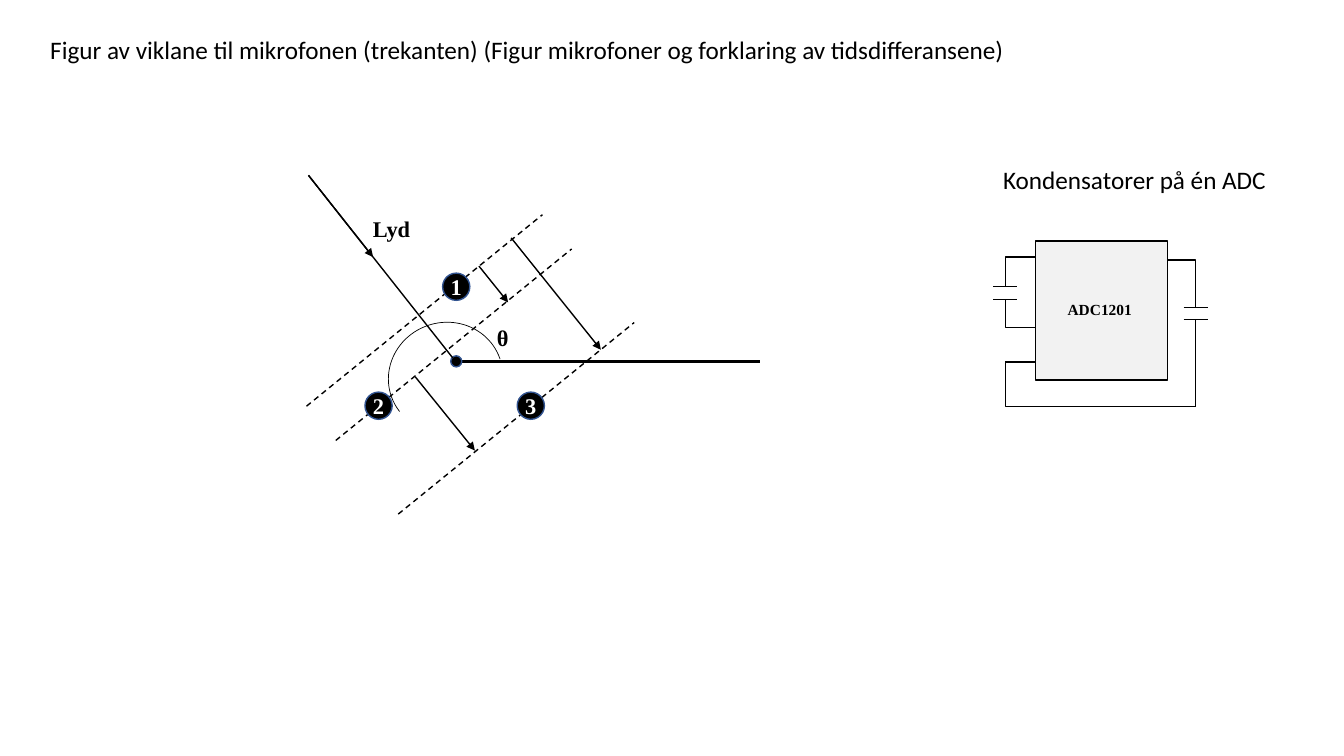
from lxml.etree import SubElement
from pptx import Presentation
from pptx.dml.color import RGBColor
from pptx.enum.dml import MSO_LINE
from pptx.enum.shapes import MSO_CONNECTOR, MSO_SHAPE
from pptx.enum.text import MSO_ANCHOR, PP_ALIGN
from pptx.oxml.ns import qn
from pptx.util import Pt

PX = 9144
COLORS = {"ink": "000000", "rim": "325491", "chip": "F2F2F2", "digit": "FFFFFF"}
SANS, SERIF = "Calibri", "Times New Roman"


def rgb(name):
    return RGBColor.from_string(COLORS[name])


def style_text(paragraph, size, font, color="ink"):
    paragraph.font.size = Pt(size)
    paragraph.font.name = font
    paragraph.font.bold = font == SERIF
    paragraph.font.color.rgb = rgb(color)


def add_label(slide, x, y, w, h, text, size, font, wrap=True):
    frame = slide.shapes.add_textbox(x * PX, y * PX, w * PX, h * PX).text_frame
    frame.word_wrap = wrap
    frame.text = text
    style_text(frame.paragraphs[0], size, font)


def add_shape(slide, kind, x, y, w, h, fill=None, line="ink", width=1):
    shape = slide.shapes.add_shape(kind, x * PX, y * PX, w * PX, h * PX)
    shape.shadow.inherit = False
    if fill:
        shape.fill.solid()
        shape.fill.fore_color.rgb = rgb(fill)
    else:
        shape.fill.background()
    shape.line.color.rgb = rgb(line)
    shape.line.width = Pt(width)
    return shape


def add_line(slide, x1, y1, x2, y2, width=1, kind=MSO_CONNECTOR.STRAIGHT):
    line = slide.shapes.add_connector(kind, x1 * PX, y1 * PX, x2 * PX, y2 * PX)
    line.line.color.rgb = rgb("ink")
    line.line.width = Pt(width)
    SubElement(line._element.spPr, qn("a:effectLst"))
    return line


def add_arrow(slide, *ends):
    arrow = add_line(slide, *ends)
    SubElement(arrow.line._get_or_add_ln(), qn("a:tailEnd"), type="triangle")


def add_wire(slide, *ends):
    wire = add_line(slide, *ends, kind=MSO_CONNECTOR.ELBOW)
    guides = wire._element.spPr.find(qn("a:prstGeom")).get_or_add_avLst()
    SubElement(guides, qn("a:gd"), name="adj1", fmla="val 0")


def add_microphone(slide, x, y, number):
    microphone = add_shape(slide, MSO_SHAPE.OVAL, x, y, 27, 27, "ink", "rim")
    frame = microphone.text_frame
    frame.margin_left = frame.margin_right = frame.margin_top = frame.margin_bottom = 0
    frame.vertical_anchor = MSO_ANCHOR.MIDDLE
    frame.word_wrap = False
    frame.text = str(number)
    frame.paragraphs[0].alignment = PP_ALIGN.CENTER
    style_text(frame.paragraphs[0], 16, SERIF, "digit")


def draw_sound_angle(slide, left, top):
    add_line(slide, left + 149, top + 185, left + 450, top + 185, 2.25)
    add_shape(slide, MSO_SHAPE.OVAL, left + 143, top + 179, 11, 11, "ink", "rim")
    add_line(slide, left + 2, top, left + 145, top + 181)
    angle = add_shape(slide, MSO_SHAPE.ARC, left + 81, top + 146, 114, 109, width=0.5)
    angle.rotation = 340.7
    for index, degrees in enumerate((162.73, 0.68)):
        angle.adjustments[index] = degrees * 0.6
    add_label(slide, left + 179, top + 143, 82, 37, "θ", 16, SERIF)
    add_label(slide, left + 56, top + 35, 82, 37, "Lyd", 16, SERIF)

    for x, y in ((0, 229), (29, 263), (91, 336)):
        wavefront = add_line(slide, left + x, top + y, left + x + 234, top + y - 190)
        wavefront.line.dash_style = MSO_LINE.DASH
    for number, (x, y) in enumerate(((135, 97), (58, 215), (209, 215)), 1):
        add_microphone(slide, left + x, top + y, number)
    for x1, y1, x2, y2 in ((2, 0, 66, 81), (108, 200, 167, 273),
                           (171, 90, 200, 126), (203, 62, 292, 173)):
        add_arrow(slide, left + x1, top + y1, left + x2, top + y2)


def draw_converter(slide, left, top):
    add_label(slide, left, top, 284, 40, "Kondensatorer på én ADC", 18, SANS, wrap=False)
    left_wire, right_wire = left + 12, left + 201
    add_line(slide, left_wire, top + 201, left + 58, top + 201)
    add_line(slide, right_wire, top + 159, right_wire, top + 245)
    for x1, y1, x2, y2 in ((left_wire, 126, left + 52, 97), (left_wire, 139, left + 52, 167),
                           (right_wire, 147, left + 159, 100), (left_wire, 201, right_wire, 245)):
        add_wire(slide, x1, top + y1, x2, top + y2)
    for x, plates in ((left_wire, (126, 139)), (right_wire, (147, 159))):
        for y in plates:
            add_line(slide, x - 12, top + y, x + 12, top + y)
    add_shape(slide, MSO_SHAPE.RECTANGLE, left + 42, top + 81, 131, 138, "chip")
    add_label(slide, left + 64, top + 135, 118, 29, "ADC1201", 11, SERIF)


def main():
    deck = Presentation()
    deck.slide_width, deck.slide_height = 1333 * PX, 750 * PX
    slide = deck.slides.add_slide(deck.slide_layouts[6])
    add_label(slide, 40, 29, 997, 40, "Figur av viklane til mikrofonen (trekanten) "
              "(Figur mikrofoner og forklaring av tidsdifferansene)", 18, SANS)
    draw_sound_angle(slide, 304, 174)
    draw_converter(slide, 985, 158)
    deck.save("out.pptx")


if __name__ == "__main__":
    main()
